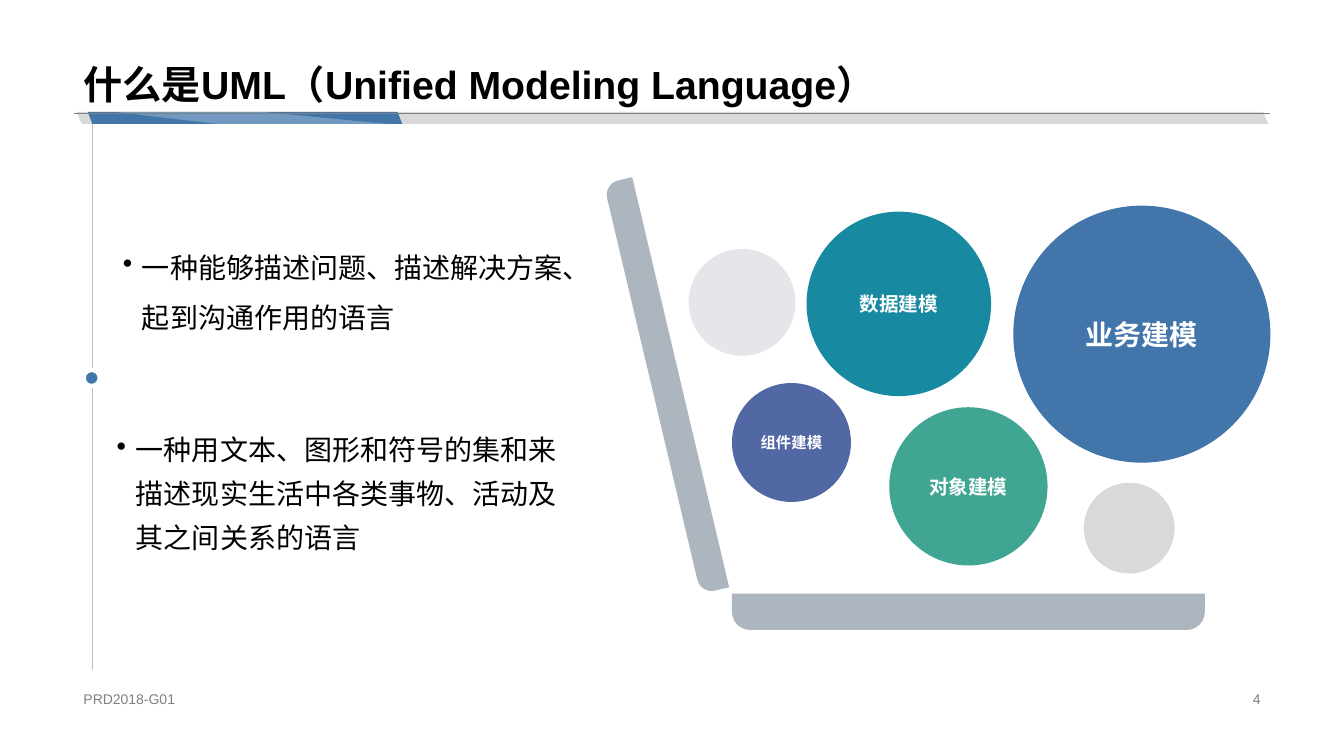
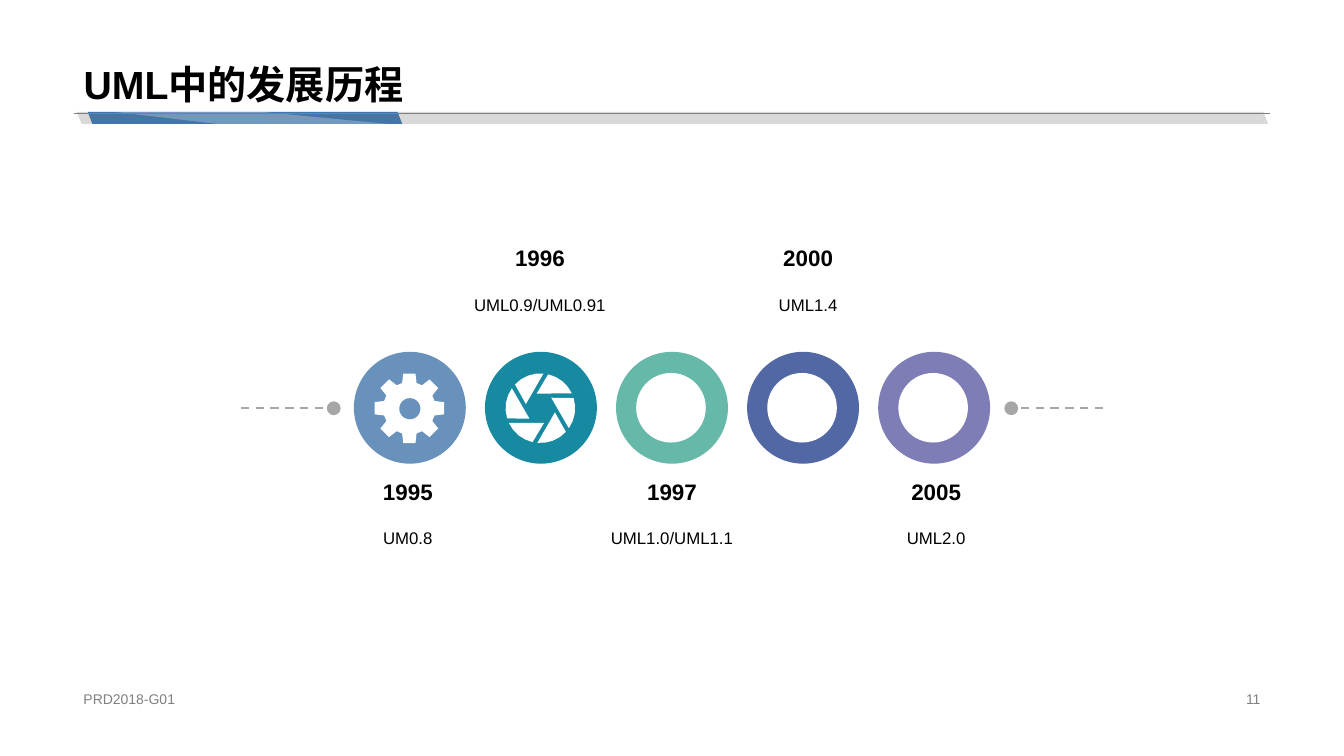
from math import cos, radians, sin

from lxml.etree import SubElement
from pptx import Presentation
from pptx.dml.color import RGBColor
from pptx.enum.dml import MSO_LINE as Dash
from pptx.enum.shapes import MSO_CONNECTOR as Conn, MSO_SHAPE as Kind
from pptx.enum.text import MSO_ANCHOR as Anchor, PP_ALIGN as Align
from pptx.oxml.ns import qn
from pptx.util import Pt

PX = 9144  # one hundredth of an inch
FONT = "Arial"
BLACK, WHITE, GREY = "000000", "FFFFFF", "808080"
BLUE, TEAL, GREEN, NAVY = "4276AA", "178AA1", "40A693", "5268A5"
SILVER, STEEL, MIST = "D9D9D9", "ADB5BF", "E4E6EA"
SKY, MINT, LILAC = "6891BB", "66B8A9", "7E7DB5"


def px(*nums):
    return [round(n * PX) for n in nums]


def rgb(code):
    return RGBColor.from_string(code)


# Text
def write(frame, text, size, color=BLACK, bold=False, align=Align.LEFT,
          anchor=Anchor.MIDDLE, wrap=True, space=None):
    frame.word_wrap = wrap
    frame.vertical_anchor = anchor
    frame.text = text
    para = frame.paragraphs[0]
    para.alignment = align
    para.line_spacing = space
    font = para.font
    font.name, font.size, font.bold = FONT, Pt(size), bold
    font.color.rgb = rgb(color)
    return para


def label(slide, box, text, size, **style):
    return write(slide.shapes.add_textbox(*px(*box)).text_frame,
                 text, size, **style)


def bullet(slide, box, text, space):
    props = label(slide, box, text, 20, space=space)._p.get_or_add_pPr()
    indent = px(19)[0]
    props.set("marL", str(indent))
    props.set("indent", str(-indent))
    mark = SubElement(props, qn("a:buChar"))
    mark.set("char", "•")
    # the bullet must come before the default run properties
    props.find(qn("a:defRPr")).addprevious(mark)


# Shapes and lines
def paint(shape, color):
    shape.shadow.inherit = False
    shape.fill.solid()
    shape.fill.fore_color.rgb = rgb(color)
    shape.line.fill.background()
    return shape


def block(slide, kind, box, color, *adj):
    shape = slide.shapes.add_shape(kind, *px(*box))
    for i, value in enumerate(adj):
        shape.adjustments[i] = value
    return paint(shape, color)


def disc(slide, left, top, size, color):
    return block(slide, Kind.OVAL, (left, top, size, size), color)


def slant(slide, box, color, adj):
    shape = block(slide, Kind.PARALLELOGRAM, box, color, adj)
    shape.element.spPr.xfrm.set("flipH", "1")


def outline(slide, points, color):
    first, *rest = [px(*p) for p in points]
    path = slide.shapes.build_freeform(*first)
    path.add_line_segments(rest, close=True)
    return paint(path.convert_to_shape(), color)


def rule(slide, start, end, color, width):
    line = slide.shapes.add_connector(Conn.STRAIGHT, *px(*start, *end))
    line.line.color.rgb = rgb(color)
    line.line.width = Pt(width)
    SubElement(line.element.spPr, qn("a:effectLst"))
    return line


def dashed(slide, start, end):
    line = rule(slide, start, end, "A6A6A6", 1.5)
    line.line.dash_style = Dash.DASH
    tail = SubElement(line.line._get_or_add_ln(), qn("a:tailEnd"))
    for key, value in (("type", "oval"), ("w", "lg"), ("len", "lg")):
        tail.set(key, value)


# Icons
def polar(mid, turns):
    x, y = mid
    return [(x + r * cos(radians(a)), y + r * sin(radians(a)))
            for r, a in turns]


def gear(slide, mid, color):
    tooth = (26, -16), (35, -10), (35, 10), (26, 16)
    turns = [(r, a + turn) for turn in range(0, 360, 45) for r, a in tooth]
    outline(slide, polar(mid, turns), WHITE)
    disc(slide, mid[0] - 10, mid[1] - 10, 21, color)


def shutter(slide, mid, color):
    blade = [(34.5, a) for a in range(-77, -24, 13)] + [(15, -104)]
    for turn in range(0, 360, 60):
        outline(slide, polar(mid, [(r, a + turn) for r, a in blade]), WHITE)


def plain(slide, mid, color):
    disc(slide, mid[0] - 35, mid[1] - 35, 69, WHITE)


# Title, band and footer of every slide
def page(deck, title, number):
    slide = deck.slides.add_slide(deck.slide_layouts[5])
    slant(slide, (76, 111, 1182, 12), SILVER, 0.42)
    slant(slide, (87, 111, 312, 12), BLUE, 0.39)
    shine = outline(slide, [(385, 123), (260, 111), (114, 111), (216, 123)],
                    WHITE)
    tint = shine.element.spPr.find(".//" + qn("a:srgbClr"))
    SubElement(tint, qn("a:alpha")).set("val", "25000")
    rule(slide, (73, 112), (1260, 112), GREY, 0.25)
    head = slide.shapes.title
    head.left, head.top, head.width, head.height = px(73, 0, 1187, 112)
    write(head.text_frame, title, 28, bold=True, anchor=Anchor.BOTTOM,
          space=0.9)
    label(slide, (73, 682, 453, 23), "PRD2018-G01", 10, color=GREY)
    label(slide, (942, 682, 318, 23), number, 10, color=GREY,
          align=Align.RIGHT)
    return slide


def about(deck):
    slide = page(deck, "什么是UML（Unified Modeling Language）", "4")

    # Open tray
    block(slide, Kind.ROUND_2_SAME_RECTANGLE, (726, 589, 469, 36), STEEL,
          0, 0.5)
    lid = block(slide, Kind.ROUND_2_SAME_RECTANGLE, (452, 368, 418, 29),
                STEEL, 0, 0.5)
    lid.rotation = 76.7

    # Bubbles
    for left, top, size, color, text, points in (
            (726, 380, 118, NAVY, "组件建模", 11),
            (882, 404, 157, GREEN, "对象建模", 14),
            (800, 210, 183, TEAL, "数据建模", 14),
            (1005, 204, 255, BLUE, "业务建模", 20)):
        ball = disc(slide, left, top, size, color)
        write(ball.text_frame, text, points, color=WHITE, bold=True,
              align=Align.CENTER, wrap=False)
    disc(slide, 1075, 479, 90, SILVER)
    disc(slide, 683, 247, 106, MIST)

    # Side line and its dot
    rule(slide, (91, 123), (91, 665), "BFBFBF", 0.25)
    dot = disc(slide, 83, 367, 16, BLUE)
    dot.line.color.rgb = rgb(WHITE)
    dot.line.width = Pt(3)

    # Definitions
    bullet(slide, (112, 209, 467, 145),
           "一种能够描述问题、描述解决方案、起到沟通作用的语言", 1.5)
    bullet(slide, (106, 412, 467, 145),
           "一种用文本、图形和符号的集和来描述现实生活中各类事物、活动及其之间关系的语言",
           1.3)


def history(deck):
    slide = page(deck, "UML中的发展历程", "11")
    dashed(slide, (239, 405), (331, 405))
    dashed(slide, (1094, 405), (1003, 405))

    # Rings, left to right, with labels below and above in turn
    steps = (("1995", "UM0.8", 279, SKY, gear),
             ("1996", "UML0.9/UML0.91", 410, TEAL, shutter),
             ("1997", "UML1.0/UML1.1", 541, MINT, plain),
             ("2000", "UML1.4", 676, NAVY, plain),
             ("2005", "UML2.0", 803, LILAC, plain))
    for i, (year, name, left, color, icon) in enumerate(steps):
        ring = 351 + 130 * i
        disc(slide, ring, 349, 111, color)
        icon(slide, (ring + 55, 405), color)
        top = 237 if i % 2 else 469
        label(slide, (left, top, 251, 46), year, 16, bold=True,
              align=Align.CENTER, anchor=Anchor.TOP, wrap=False)
        label(slide, (left, top + 46, 251, 58), name, 12,
              align=Align.CENTER, anchor=Anchor.TOP, space=1.2)


def main():
    deck = Presentation()
    deck.slide_width, deck.slide_height = px(1333, 750)
    about(deck)
    history(deck)
    deck.save("out.pptx")


if __name__ == "__main__":
    main()
